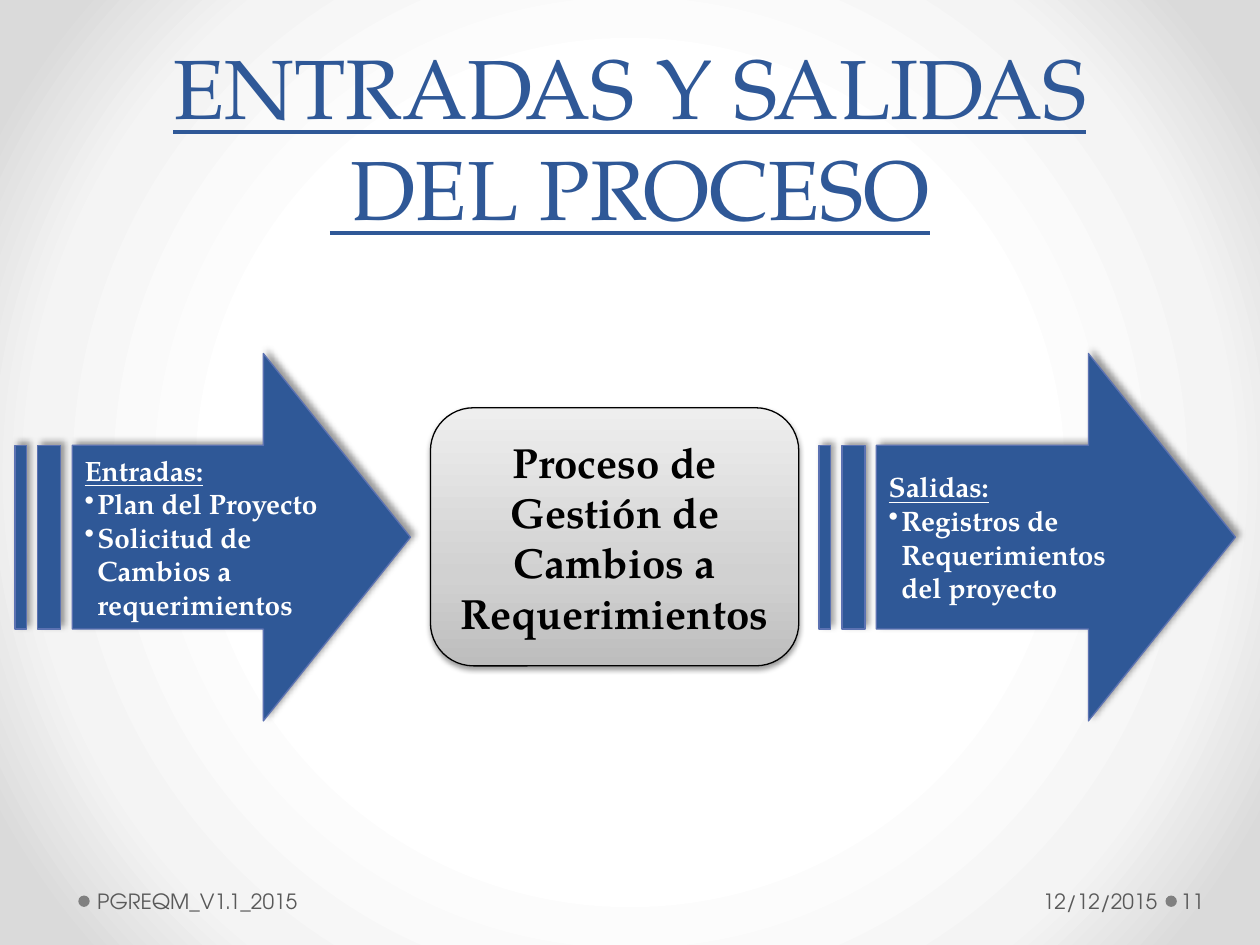
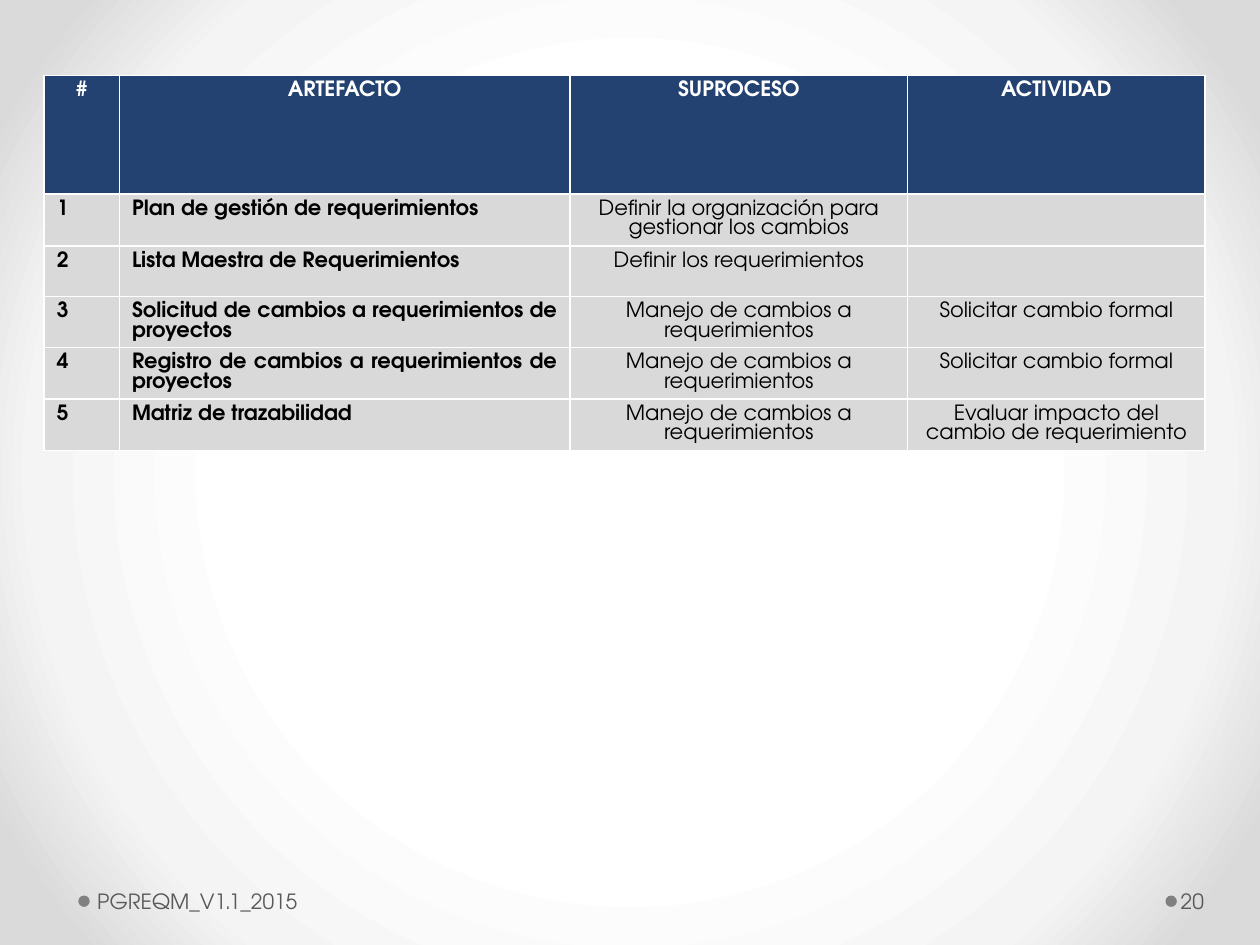
from dataclasses import dataclass
from typing import Any, Optional

from lxml.etree import SubElement as Sub
from pptx import Presentation
from pptx.dml.color import RGBColor as Rgb
from pptx.enum.shapes import MSO_SHAPE as Shp
from pptx.enum.text import MSO_ANCHOR as Anc, MSO_AUTO_SIZE as Auto, PP_ALIGN as Al
from pptx.oxml.ns import qn
from pptx.util import Pt

SANS, SERIF = "TeX Gyre Adventor", "TeX Gyre Pagella"
BLUE, NAVY, EDGE = "2F5897", "234271", "5C72B2"
WHITE, BLACK = "FFFFFF", "000000"
PALE, GREY, DARK = "D9D9D9", "808080", "595959"
FOOT_TOP, FOOT_H = 500.5, 28.5

Box = tuple[float, float, float, float]
Stops = list[tuple[int, str]]


@dataclass
class Style:
    """Look of a run of text."""
    font: str
    size: float
    color: str
    bold: bool = False
    line: bool = False


@dataclass
class Shade:
    """Outer shadow of a shape, in points, degrees and percent."""
    alpha: int
    blur: float
    dist: float
    angle: int


@dataclass
class Arrow:
    """Striped arrow with a heading and its bullets."""
    box: Box
    head: str
    items: list[str]


@dataclass
class Foot:
    """One text of the footer."""
    left: float
    width: float
    pads: tuple[float, float]
    align: Any = Al.LEFT


FOOT = Style(SANS, 12, DARK)
NAME = Foot(52, 285, (3.6, 7.2))
DATE = Foot(501, 164, (7.2, 3.6), Al.RIGHT)
PAGE = Foot(672.5, 44, (2.2, 3.6))

ARROWS = [
    Arrow((8.5, 202, 226, 210), "Entradas:",
          ["Plan del Proyecto", "Solicitud de Cambios a requerimientos"]),
    Arrow((468, 202, 238, 210), "Salidas:",
          ["Registros de Requerimientos del proyecto"]),
]

COLS = [43, 257.5, 193, 170]
ROWS = [68, 29.5, 18.25, 29.25, 29.5, 29.5]
MANAGE = "Manejo de cambios a requerimientos"
ASK = "Solicitar cambio formal"
CELLS = [
    ("#", "ARTEFACTO", "SUPROCESO", "ACTIVIDAD"),
    ("1", "Plan de gestión de requerimientos",
     "Definir la organización para gestionar los cambios", ""),
    ("2", "Lista Maestra de Requerimientos", "Definir los requerimientos", ""),
    ("3", "Solicitud de cambios a requerimientos de proyectos", MANAGE, ASK),
    ("4", "Registro de cambios a requerimientos de proyectos", MANAGE, ASK),
    ("5", "Matriz de trazabilidad", MANAGE,
     "Evaluar impacto del cambio de requerimiento"),
]


def rgb(code: str) -> Rgb:
    """Turn a hex string into a colour."""
    return Rgb.from_string(code)


def pts(box: Box) -> list[Pt]:
    """Turn a box in points into lengths."""
    return [Pt(n) for n in box]


def write(para: Any, text: str, style: Style, align: Any = Al.LEFT) -> None:
    """Fill a paragraph and format its runs."""
    para.text = text
    para.alignment = align
    for run in para.runs:
        font = run.font
        font.name, font.size = style.font, Pt(style.size)
        font.bold, font.underline = style.bold, style.line
        font.color.rgb = rgb(style.color)


def blend(root: Any, stops: Stops, angle: Optional[int] = None) -> None:
    """Rewrite the gradient under root: linear with an angle, else round."""
    grad = next(root.iter(qn("a:gradFill")))
    for node in list(grad):
        grad.remove(node)
    group = Sub(grad, qn("a:gsLst"))
    for pos, code in stops:
        stop = Sub(group, qn("a:gs"), pos=str(pos * 1000))
        Sub(stop, qn("a:srgbClr"), val=code)
    if angle is None:
        way = Sub(grad, qn("a:path"), path="circle")
        Sub(way, qn("a:fillToRect"), l="50000", t="50000", r="50000", b="50000")
    else:
        Sub(grad, qn("a:lin"), ang=str(angle * 60000), scaled="0")


def cast(shape: Any, shade: Shade) -> None:
    """Give a shape an outer shadow."""
    shape.shadow.inherit = False
    group = next(shape.element.iter(qn("a:effectLst")))
    outer = Sub(group, qn("a:outerShdw"), blurRad=str(Pt(shade.blur)),
                dist=str(Pt(shade.dist)), dir=str(shade.angle * 60000),
                algn="ctr", rotWithShape="0")
    tint = Sub(outer, qn("a:srgbClr"), val=BLACK)
    Sub(tint, qn("a:alpha"), val=str(shade.alpha * 1000))


def bullet(para: Any) -> None:
    """Hang a paragraph behind a bullet."""
    props = para._p.get_or_add_pPr()
    props.set("marL", str(Pt(7.2)))
    props.set("indent", str(Pt(-7.2)))
    Sub(props, qn("a:buChar"), char="•")


def form(slide: Any, kind: Any, box: Box, fill: str, edge: str = "") -> Any:
    """Draw a preset shape, flat, with an optional thin edge."""
    shape = slide.shapes.add_shape(kind, *pts(box))
    shape.shadow.inherit = False
    shape.fill.solid()
    shape.fill.fore_color.rgb = rgb(fill)
    if edge:
        shape.line.color.rgb = rgb(edge)
        shape.line.width = Pt(0.75)
    else:
        shape.line.fill.background()
    return shape


def dress(master: Any, slide: Any) -> None:
    """Put the shared backdrop and footer dots on the master."""
    master.background.fill.gradient()
    blend(master.element, [(50, WHITE), (76, "F4F4F4"), (92, "DADADA")])
    for left in (666, 44.75):
        dot = form(slide, Shp.OVAL, (left, 511.75, 6.5, 6.5), GREY)
        master.shapes.element.append(dot.element)


def foot(slide: Any, spot: Foot, text: str) -> None:
    """Write one text of the footer."""
    box = (spot.left, FOOT_TOP, spot.width, FOOT_H)
    frame = slide.shapes.add_textbox(*pts(box)).text_frame
    frame.word_wrap = True
    frame.vertical_anchor = Anc.MIDDLE
    frame.margin_left, frame.margin_right = [Pt(n) for n in spot.pads]
    write(frame.paragraphs[0], text, FOOT, spot.align)


def title(slide: Any, text: str) -> None:
    """Place and format the slide title."""
    shape = slide.shapes.title
    shape.left, shape.top, shape.width, shape.height = pts((20, 13.5, 680, 125.5))
    frame = shape.text_frame
    frame.auto_size = Auto.NONE
    frame.vertical_anchor = Anc.BOTTOM
    write(frame.paragraphs[0], text, Style(SERIF, 48, BLUE, line=True), Al.CENTER)


def point(slide: Any, arrow: Arrow) -> None:
    """Draw a striped arrow with its list."""
    shape = form(slide, Shp.STRIPED_RIGHT_ARROW, arrow.box, BLUE, EDGE)
    shape.adjustments[0], shape.adjustments[1] = 0.5, 0.4
    cast(shape, Shade(40, 4, 3, 315))
    frame = shape.text_frame
    frame.vertical_anchor = Anc.MIDDLE
    write(frame.paragraphs[0], arrow.head, Style(SERIF, 16, WHITE, True, True))
    for item in arrow.items:
        para = frame.add_paragraph()
        write(para, item, Style(SERIF, 16, WHITE, True))
        bullet(para)


def core(slide: Any, text: str) -> None:
    """Draw the process box between the arrows."""
    shape = form(slide, Shp.ROUNDED_RECTANGLE, (246, 233, 210.5, 147.5), PALE, BLACK)
    shape.fill.gradient()
    blend(shape.element, [(0, "BDBDBD"), (35, "D1D1D1"), (100, "EEEEEE")], 270)
    cast(shape, Shade(38, 3.1, 1.6, 90))
    shape.text_frame.vertical_anchor = Anc.MIDDLE
    write(shape.text_frame.paragraphs[0], text, Style(SERIF, 24, BLACK, True), Al.CENTER)


def rule(cell: Any) -> None:
    """Edge a cell in white."""
    props = cell._tc.get_or_add_tcPr()
    for side in ("lnL", "lnR", "lnT", "lnB"):
        line = Sub(props, qn("a:" + side), w=str(Pt(1)))
        Sub(Sub(line, qn("a:solidFill")), qn("a:srgbClr"), val=WHITE)


def grid(slide: Any) -> None:
    """Draw the table of artefacts."""
    box = (25.25, 43, sum(COLS), sum(ROWS))
    table = slide.shapes.add_table(len(ROWS), len(COLS), *pts(box)).table
    for col, width in zip(table.columns, COLS):
        col.width = Pt(width)
    for row, high in zip(table.rows, ROWS):
        row.height = Pt(high)
    for r, texts in enumerate(CELLS):
        for c, text in enumerate(texts):
            cell = table.cell(r, c)
            top, left = r == 0, c < 2
            rule(cell)
            cell.fill.solid()
            cell.fill.fore_color.rgb = rgb(NAVY if top else PALE)
            para = cell.text_frame.paragraphs[0]
            style = Style(SANS, 12, WHITE if top else BLACK, top or left)
            write(para, text, style, Al.JUSTIFY if left and not top else Al.CENTER)
            para.line_spacing = Pt(11)


def main() -> None:
    """Build both slides and save them."""
    deck = Presentation()
    deck.slide_width, deck.slide_height = Pt(720), Pt(540)
    flow = deck.slides.add_slide(deck.slide_layouts[0])
    sub = flow.placeholders[1].element
    sub.getparent().remove(sub)
    dress(deck.slide_master, flow)
    for arrow in ARROWS:
        point(flow, arrow)
    core(flow, "Proceso de Gestión de Cambios a Requerimientos")
    title(flow, "ENTRADAS Y SALIDAS\v DEL PROCESO")
    foot(flow, DATE, "12/12/2015")

    list_ = deck.slides.add_slide(deck.slide_layouts[6])
    grid(list_)
    for slide, page in ((flow, "11"), (list_, "20")):
        foot(slide, NAME, "PGREQM_V1.1_2015")
        foot(slide, PAGE, page)
    deck.save("out.pptx")


main()
